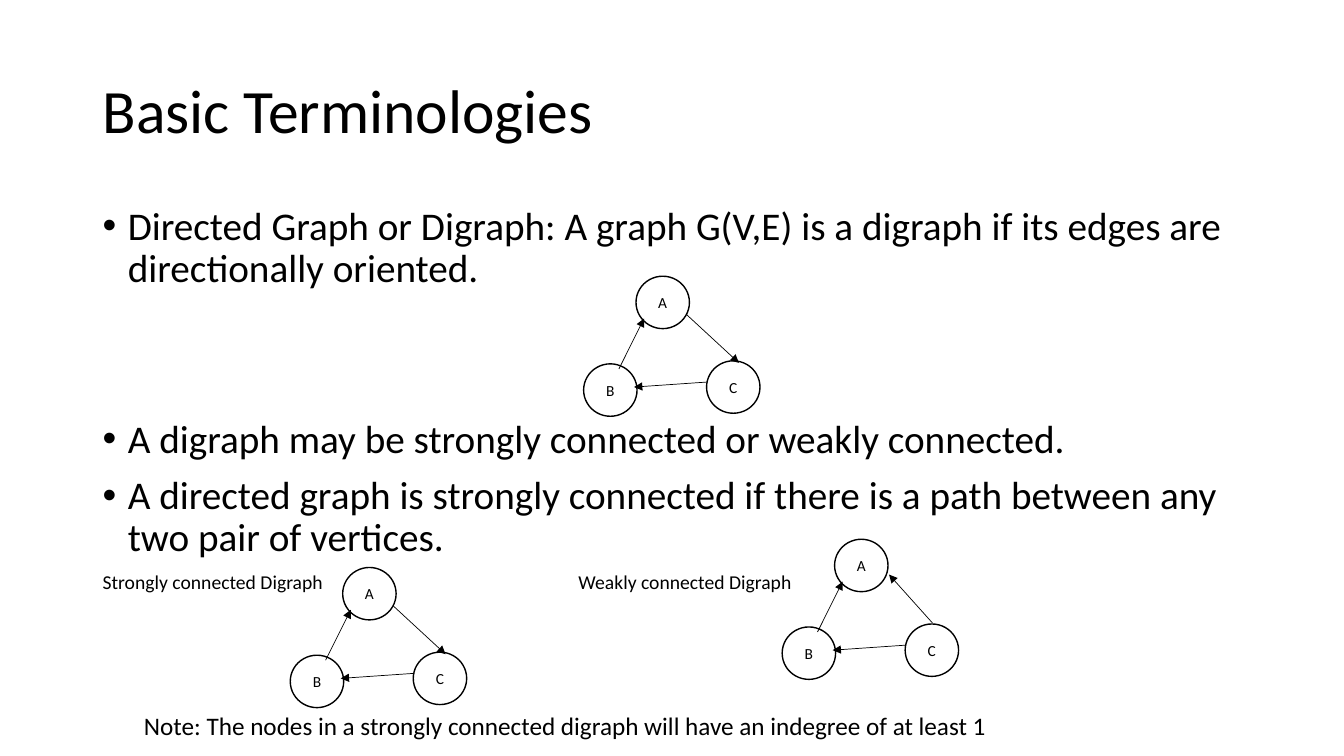
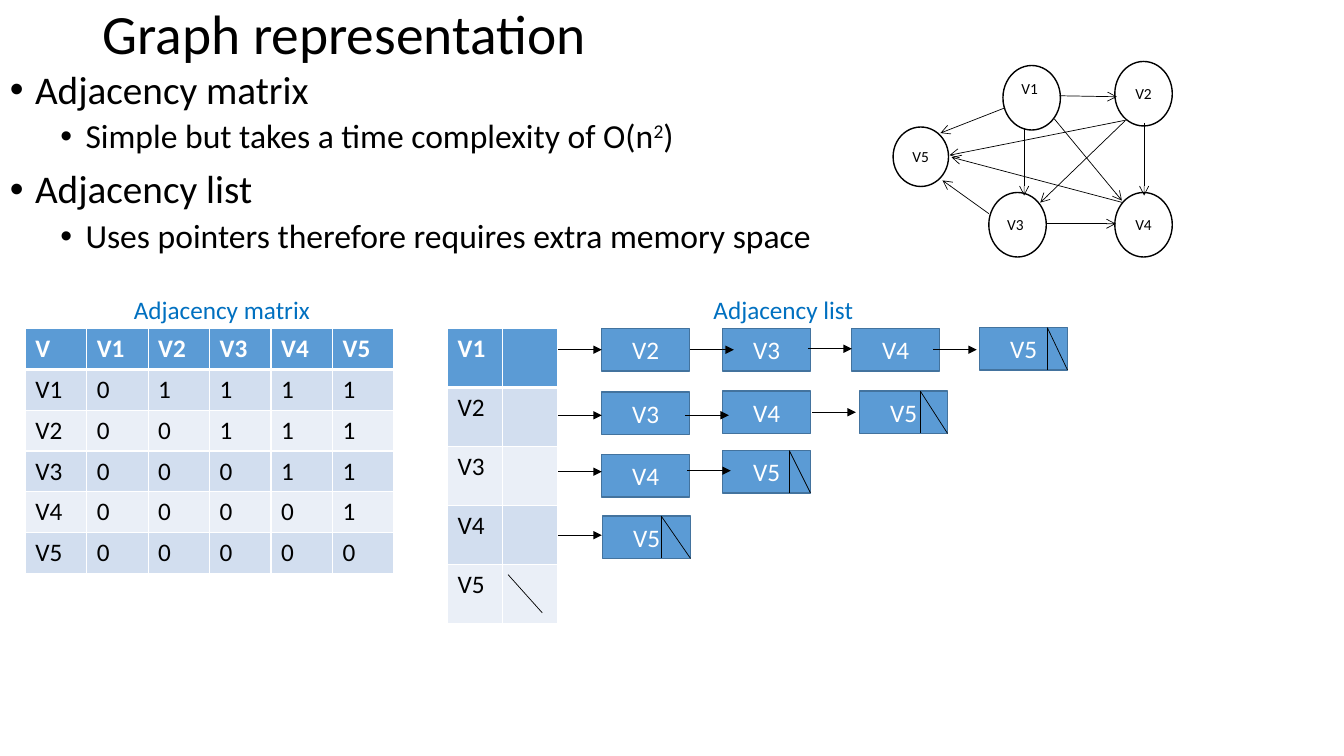
from dataclasses import dataclass

from lxml import etree
from pptx import Presentation
from pptx import util as u
from pptx.dml.color import RGBColor
from pptx.enum import shapes, text
from pptx.oxml.ns import qn


@dataclass(frozen=True)
class Theme:
    font: str = "Calibri"
    ink: str = "000000"
    paper: str = "FFFFFF"
    accent: str = "5B9BD5"
    accent_edge: str = "43739E"
    caption: str = "0070C0"
    bands: tuple = ("D2DEEF", "EAEFF7")
    title: float = 44
    title_small: float = 39.6
    body: tuple = (28, 24)
    normal: float = 18
    small: float = 14
    node: float = 11
    hairline: float = 0.5
    outline: float = 1
    header_rule: float = 3


THEME = Theme()
CELL = u.Inches(0.1)  # side of one grid column or row
SLIDE_SIZE = (133.33, 75)
ARROW_LENGTH = 4.3
BOX = (8.7, 4.2)
CENTER = text.PP_ALIGN.CENTER
LEFT = text.PP_ALIGN.LEFT


def cells(*counts):
    """Turn counts of grid columns or rows into lengths."""
    return [u.Emu(round(count * CELL)) for count in counts]


def rgb(color):
    return RGBColor.from_string(color)


def add_run(paragraph, content, size, color=THEME.ink, bold=False, superscript=False):
    run = paragraph.add_run()
    run.text = content
    run.font.name = THEME.font
    run.font.size = u.Pt(size)
    run.font.bold = bold
    run.font.color.rgb = rgb(color)
    if superscript:
        run.font._element.set("baseline", "30000")


def add_text_box(slide, place, anchor=text.MSO_ANCHOR.TOP):
    frame = slide.shapes.add_textbox(*cells(*place)).text_frame
    frame.word_wrap = True
    frame.vertical_anchor = anchor
    return frame


def add_label(slide, place, content, size, color=THEME.ink):
    frame = add_text_box(slide, place)
    add_run(frame.paragraphs[0], content, size, color)


def add_title(slide, place, content, size):
    paragraph = add_text_box(slide, place, text.MSO_ANCHOR.MIDDLE).paragraphs[0]
    paragraph.line_spacing = 0.9
    add_run(paragraph, content, size)


def add_bullets(slide, place, items):
    """Each item is (level, space before, pieces); a second piece is raised."""
    frame = add_text_box(slide, place)
    for index, (level, space, pieces) in enumerate(items):
        paragraph = frame.add_paragraph() if index else frame.paragraphs[0]
        paragraph.level = level
        paragraph.line_spacing = 0.9
        paragraph.space_before = u.Pt(space)
        properties = paragraph._p.get_or_add_pPr()
        properties.set("marL", str(u.Inches(0.25 + 0.5 * level)))
        properties.set("indent", str(u.Inches(-0.25)))
        etree.SubElement(properties, qn("a:buFont")).set("typeface", "Arial")
        etree.SubElement(properties, qn("a:buChar")).set("char", "•")
        for position, piece in enumerate(pieces):
            add_run(paragraph, piece, THEME.body[level], superscript=position == 1)


def add_line(parent, start, end, arrowhead=None):
    line = parent.shapes.add_connector(
        shapes.MSO_CONNECTOR.STRAIGHT, *cells(*start, *end))
    line.line.color.rgb = rgb(THEME.ink)
    line.line.width = u.Pt(THEME.hairline)
    if arrowhead:
        outline = line.line._get_or_add_ln()
        etree.SubElement(outline, qn("a:tailEnd")).set("type", arrowhead)
    etree.SubElement(line._element.spPr, qn("a:effectLst"))


def add_filled_shape(parent, kind, place, fill, edge):
    shape = parent.shapes.add_shape(kind, *cells(*place))
    shape.shadow.inherit = False
    shape.fill.solid()
    shape.fill.fore_color.rgb = rgb(fill)
    shape.line.color.rgb = rgb(edge)
    shape.line.width = u.Pt(THEME.outline)
    shape.text_frame.vertical_anchor = text.MSO_ANCHOR.MIDDLE
    return shape


def add_node(parent, name, place, align=CENTER, lift=0):
    """Draw a graph vertex; lift raises its name above the middle."""
    shape = add_filled_shape(
        parent, shapes.MSO_SHAPE.OVAL, place, THEME.paper, THEME.ink)
    shape.text_frame.margin_bottom = cells(0.5 + 2 * lift)[0]
    paragraph = shape.text_frame.paragraphs[0]
    paragraph.alignment = align
    add_run(paragraph, name, THEME.node)


def add_list_box(slide, name, left, top):
    shape = add_filled_shape(slide, shapes.MSO_SHAPE.RECTANGLE, (left, top, *BOX),
                             THEME.accent, THEME.accent_edge)
    paragraph = shape.text_frame.paragraphs[0]
    paragraph.alignment = CENTER
    add_run(paragraph, name, THEME.normal, THEME.paper)


def add_triangle(slide, left, top, strong=True):
    """Draw the digraph on A, B and C; a weak one has its A–C edge reversed."""
    group = slide.shapes.add_group_shape()
    for name, x, y in (("A", 5.2, 0), ("B", 0, 8.7), ("C", 12.2, 8.4)):
        add_node(group, name, (left + x, top + y, 5.3, 5.2))
    edges = [((3.5, 9.2), (6, 4.2)), ((12.3, 10.5), (5, 11))]
    edges.append(((10.2, 3.8), (15.4, 8.6)) if strong
                 else ((14.9, 8.3), (10.6, 3.5)))
    for start, end in edges:
        add_line(group, *((left + x, top + y) for x, y in (start, end)), "triangle")


def style_cell(cell, content, fill, header, below_header):
    rules = {"lnL": THEME.outline, "lnR": THEME.outline,
             "lnT": THEME.header_rule if below_header else THEME.outline,
             "lnB": THEME.header_rule if header else THEME.outline}
    properties = cell._tc.get_or_add_tcPr()
    for side, width in rules.items():
        border = etree.SubElement(properties, qn(f"a:{side}"))
        border.set("w", str(u.Pt(width)))
        paint = etree.SubElement(border, qn("a:solidFill"))
        etree.SubElement(paint, qn("a:srgbClr")).set("val", THEME.paper)
    cell.fill.solid()
    cell.fill.fore_color.rgb = rgb(fill)
    if content:
        add_run(cell.text_frame.paragraphs[0], content, THEME.normal,
                THEME.paper if header else THEME.ink, bold=header)


def add_banded_table(slide, left, top, column_width, row_height, rows):
    place = cells(left, top, column_width * len(rows[0]), row_height * len(rows))
    table = slide.shapes.add_table(len(rows), len(rows[0]), *place).table
    for column in table.columns:
        column.width = cells(column_width)[0]
    for index, contents in enumerate(rows):
        table.rows[index].height = cells(row_height)[0]
        fill = THEME.bands[(index - 1) % 2] if index else THEME.accent
        for position, content in enumerate(contents):
            style_cell(table.cell(index, position), content, fill,
                       index == 0, index == 1)


def add_vertex_graph(slide):
    group = slide.shapes.add_group_shape()
    size = (5.7, 6.4)
    add_node(group, "V1", (99.5, 6.5, *size), LEFT, lift=0.9)
    add_node(group, "V2", (110.6, 6.1, *size))
    add_node(group, "V3", (98.1, 19.1, *size), LEFT)
    add_node(group, "V4", (110.6, 19.1, *size))
    add_node(group, "V5", (88.6, 12.6, 5.5, 5.9))
    edges = (
        ((105.1, 9.5), (110.8, 9.6)),     # V1 to V2
        ((101.6, 12.7), (101.6, 19.4)),   # V1 to V3
        ((104.6, 11.8), (111.3, 19.9)),   # V1 to V4
        ((99.7, 10.7), (93.3, 13.2)),     # V1 to V5
        ((111.6, 12), (103.2, 20.1)),     # V2 to V3
        ((113.5, 12.2), (113.5, 19.4)),   # V2 to V4
        ((111.8, 11.9), (94.2, 15.4)),    # V2 to V5
        ((103.9, 22.2), (110.7, 22.2)),   # V3 to V4
        ((98.1, 21.2), (93.5, 17.9)),     # V3 to V5
        ((111.4, 20.1), (94.4, 15.6)),    # V4 to V5
    )
    for start, end in edges:
        add_line(group, start, end, "arrow")


def add_chain(slide, links, divider):
    """Draw linked boxes, the last with a null pointer right of its divider.

    Each link is (name, box left, box top, arrow left, arrow top).
    """
    for name, left, top, _, _ in links:
        add_list_box(slide, name, left, top)
    for _, _, _, x, y in links:
        add_line(slide, (x, y), (x + ARROW_LENGTH, y), "triangle")
    _, left, top, _, _ = links[-1]
    corner = (left + divider, top)
    bottom = top + BOX[1]
    add_line(slide, corner, (left + divider, bottom))
    add_line(slide, corner, (left + BOX[0], bottom))


def build_terminology(slide):
    add_title(slide, (9.2, 4, 115, 14.5), "Basic Terminologies", THEME.title)
    add_bullets(slide, (9.2, 20, 115, 36), (
        (0, 10, ["Directed Graph or Digraph: A graph G(V,E) is a digraph if its "
                 "edges are directionally oriented."]),
        (0, 91.5, ["A digraph may be strongly connected or weakly connected."]),
        (0, 10, ["A directed graph is strongly connected if there is a path "
                 "between any two pair of vertices."]),
    ))
    for left, kind in ((9.2, "Strongly"), (56.4, "Weakly")):
        add_label(slide, (left, 56.1, 26, 3.3), f"{kind} connected Digraph",
                  THEME.small)
    add_triangle(slide, 28.8, 56.3)
    add_triangle(slide, 57.9, 27.4)
    add_triangle(slide, 77.6, 53.5, strong=False)
    add_label(slide, (13.3, 70, 100.6, 4),
              "Note: The nodes in a strongly connected digraph will have an "
              "indegree of at least 1", THEME.normal)


def build_representation(slide):
    add_title(slide, (9.2, 1.5, 115, 4.2), "Graph representation",
              THEME.title_small)
    add_bullets(slide, (0, 6.5, 124.2, 21), (
        (0, 10, ["Adjacency matrix"]),
        (1, 5, ["Simple but takes a time complexity of O(n", "2", ")"]),
        (0, 10, ["Adjacency list"]),
        (1, 5, ["Uses pointers therefore requires extra memory space"]),
    ))
    for left, caption in ((12.3, "Adjacency matrix"), (69.8, "Adjacency list")):
        add_label(slide, (left, 28.7, 22, 4), caption, THEME.normal, THEME.caption)
    add_vertex_graph(slide)

    vertices = [f"V{number}" for number in range(1, 6)]
    matrix = [["V", *vertices]]
    for source, name in enumerate(vertices):
        matrix.append([name, *(str(int(target > source)) for target in range(5))])
    add_banded_table(slide, 2.5, 32.6, 6.1, 4.05, matrix)
    add_banded_table(slide, 44.4, 32.6, 5.45, 5.86, [[name, ""] for name in vertices])

    add_chain(slide, (("V2", 59.7, 32.6, 55.4, 34.7),
                      ("V3", 71.7, 32.6, 68.5, 34.7),
                      ("V4", 84.5, 32.6, 80.2, 34.6),
                      ("V5", 97.2, 32.5, 92.6, 34.7)), 6.7)
    add_chain(slide, (("V3", 59.7, 38.9, 55.4, 41.2),
                      ("V4", 71.7, 38.8, 68, 41.2),
                      ("V5", 85.3, 38.8, 80.6, 40.9)), 6)
    add_chain(slide, (("V4", 59.7, 45.1, 55.4, 46.8),
                      ("V5", 71.7, 44.7, 68.2, 46.7)), 6.6)
    add_chain(slide, (("V5", 59.8, 51.2, 55.4, 53.1),), 5.8)
    add_line(slide, (50.4, 57), (53.8, 60.8))


def main():
    presentation = Presentation()
    presentation.slide_width, presentation.slide_height = cells(*SLIDE_SIZE)
    blank = presentation.slide_layouts[6]
    for build in (build_terminology, build_representation):
        build(presentation.slides.add_slide(blank))
    presentation.save("out.pptx")


if __name__ == "__main__":
    main()
